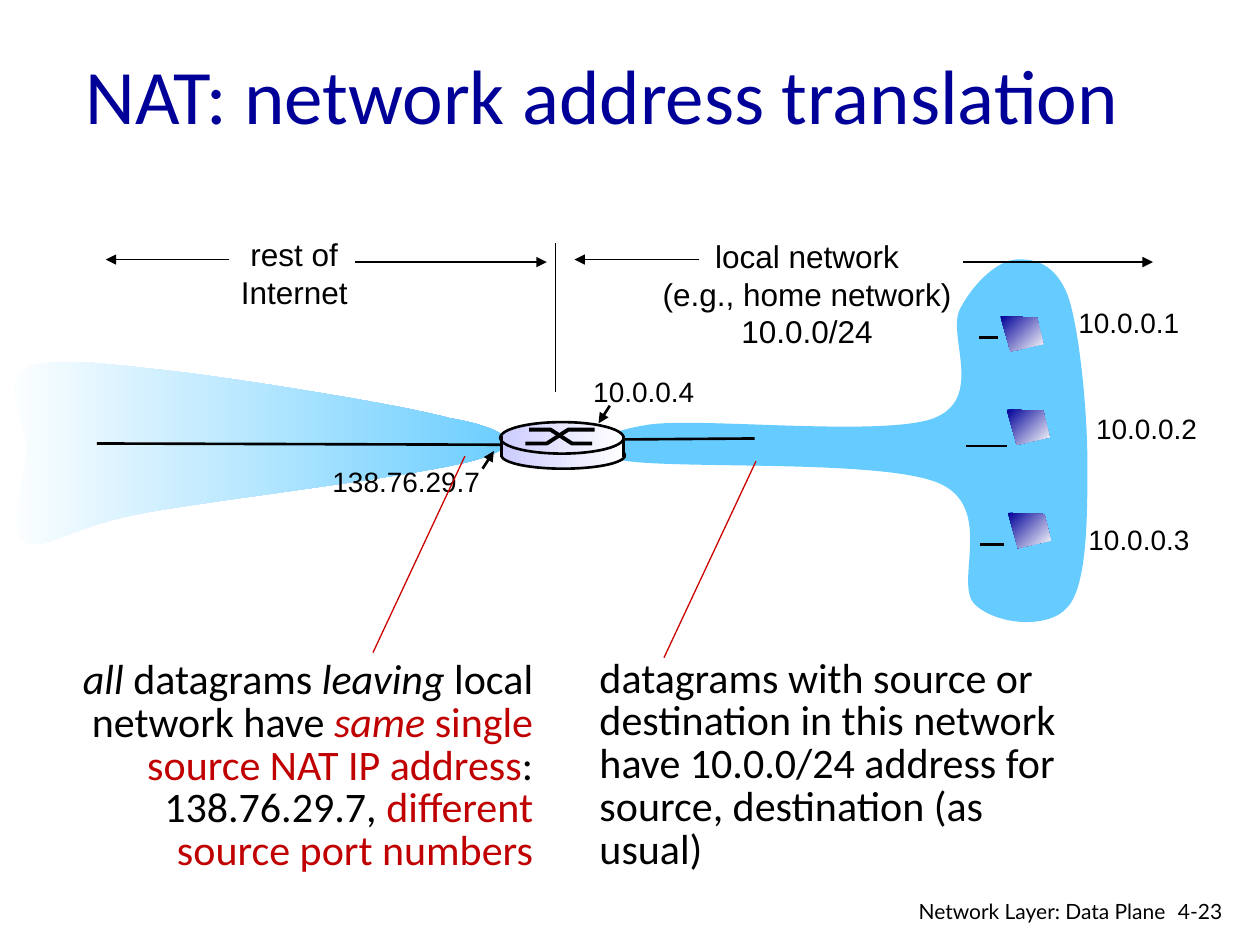
from pptx import Presentation
from pptx.dml.color import RGBColor
from pptx.enum.shapes import MSO_CONNECTOR, MSO_SHAPE
from pptx.enum.text import MSO_ANCHOR as Anchor, PP_ALIGN as Align
from pptx.oxml.ns import qn
from pptx.util import Pt
from lxml import etree

PX = 9144  # 100 px to the inch

BLACK = RGBColor(0x00, 0x00, 0x00)
WHITE = RGBColor(0xFF, 0xFF, 0xFF)
NAVY = RGBColor(0x00, 0x00, 0x99)
SKY = RGBColor(0x66, 0xCC, 0xFF)
LILAC = RGBColor(0xCC, 0xCC, 0xFF)
RED = RGBColor(0xC0, 0x00, 0x00)
POINTER_RED = RGBColor(0xCC, 0x00, 0x00)

deck = Presentation()
deck.slide_width, deck.slide_height = 1000 * PX, 750 * PX
page = deck.slides.add_slide(deck.slide_layouts[6])


def write(text, left, top, width, height, font="Arial", size=16, color=BLACK,
          align=Align.LEFT, anchor=Anchor.TOP, spacing=None, wrap=False):
    """Text is a list of paragraphs; each is a string or (text, italic, color) spans."""
    box = page.shapes.add_textbox(left * PX, top * PX, width * PX, height * PX)
    frame = box.text_frame
    frame.word_wrap = wrap
    frame.vertical_anchor = anchor
    for index, content in enumerate(text):
        para = frame.paragraphs[0] if index == 0 else frame.add_paragraph()
        para.alignment = align
        para.line_spacing = spacing
        spans = [(content, False, color)] if isinstance(content, str) else content
        for words, italic, shade in spans:
            span = para.add_run()
            span.text = words
            span.font.name, span.font.size = font, Pt(size)
            span.font.italic = italic
            span.font.color.rgb = shade


def draw_line(shapes, x1, y1, x2, y2, weight=1.5, color=BLACK, arrow=False):
    line = shapes.add_connector(MSO_CONNECTOR.STRAIGHT, x1 * PX, y1 * PX, x2 * PX, y2 * PX)
    line.line.color.rgb = color
    line.line.width = Pt(weight)
    if arrow:
        etree.SubElement(line.line._get_or_add_ln(), qn("a:tailEnd"), type="triangle")
    etree.SubElement(line._element.spPr, qn("a:effectLst"))


# Clouds: a start point, then three points per curve
local_cloud = [
    (515, 337), (556, 331), (700, 347), (741, 332), (782, 316), (751, 266), (762, 245),
    (773, 224), (792, 207), (806, 206), (821, 205), (838, 209), (848, 236),
    (857, 264), (863, 327), (863, 368), (863, 409), (863, 463), (848, 481),
    (833, 500), (791, 496), (774, 480), (756, 464), (791, 402), (744, 383),
    (697, 364), (531, 373), (492, 365), (454, 357), (476, 343), (515, 337)]
internet_cloud = [
    (357, 332), (317, 321), (197, 302), (141, 295), (85, 289), (40, 282), (20, 293),
    (0, 303), (21, 334), (21, 357), (21, 380), (4, 421), (20, 430),
    (36, 438), (55, 418), (115, 407), (175, 396), (340, 377), (381, 364),
    (421, 352), (398, 339), (357, 332)]
shaded = []  # (shape, first colour, last colour, angle)
for knots, first in ((local_cloud, SKY), (internet_cloud, WHITE)):
    builder = page.shapes.build_freeform(*knots[0], scale=PX)
    builder.add_line_segments(knots[1:], close=True)
    cloud = builder.convert_to_shape()
    segments = list(cloud._element.iter(qn("a:lnTo")))
    for i in range(0, len(segments), 3):
        curve = etree.Element(qn("a:cubicBezTo"))
        segments[i].addprevious(curve)
        for segment in segments[i:i + 3]:
            curve.append(segment[0])
            segment.getparent().remove(segment)
    cloud.shadow.inherit = False
    cloud.line.fill.background()
    if first == SKY:
        cloud.fill.solid()
        cloud.fill.fore_color.rgb = SKY
    else:
        shaded.append((cloud, first, SKY, 0))

# Title
write(["NAT: network address translation"], 58, 25, 885, 99, font="Calibri", size=44,
      color=NAVY, anchor=Anchor.MIDDLE, wrap=True)

# Links
for ends in ((467, 349, 599, 348), (799, 354, 767, 354), (777, 268, 792, 268),
             (778, 432, 797, 432), (77, 352, 408, 353)):
    draw_line(page.shapes, *ends)

# Addresses and the arrows to the router's interfaces
for address, left, top, width in (
        ("10.0.0.1", 846, 238, 101), ("10.0.0.2", 860, 322, 101), ("10.0.0.3", 854, 410, 101),
        ("10.0.0.4", 461, 292, 101), ("138.76.29.7", 254, 364, 138)):
    write([address], left, top, width, 37)
for ends in ((484, 322, 475, 336), (383, 372, 392, 358)):
    draw_line(page.shapes, *ends, arrow=True)

# Extent of the two networks
write(["local network", "(e.g., home network)", "10.0.0/24"], 516, 183, 249, 100,
      size=18, align=Align.CENTER)
write(["rest of", "Internet"], 181, 182, 105, 70, size=18, align=Align.CENTER)
draw_line(page.shapes, 441, 193, 441, 311, weight=0.75)
for ends in ((764, 208, 915, 208), (555, 206, 456, 206),
             (282, 208, 434, 208), (182, 206, 84, 206)):
    draw_line(page.shapes, *ends, weight=0.75, arrow=True)

# Explanations and their pointers
write(["datagrams with source or", "destination in this network",
       "have 10.0.0/24 address for", "source, destination (as usual)"],
      466, 518, 410, 146, font="Calibri", size=24, spacing=0.85, wrap=True)
write([[("all", True, BLACK), (" datagrams ", False, BLACK),
        ("leaving", True, BLACK), (" local", False, BLACK)],
       [("network have ", False, BLACK), ("same", True, RED),
        (" single source NAT IP address", False, RED), (": 138.76.29.7, ", False, BLACK),
        ("different source port numbers", False, RED)]],
      30, 519, 403, 180, font="Calibri", size=24, align=Align.RIGHT, spacing=0.85, wrap=True)
for left, top in ((527, 522), (296, 518)):
    draw_line(page.shapes, left, top, left + 73, top - 156, weight=0.75, color=POINTER_RED)

# Router
router = page.shapes.add_group_shape().shapes
for kind, left, top, height in ((MSO_SHAPE.OVAL, 398, 351, 21),
                                (MSO_SHAPE.RECTANGLE, 398, 349, 13),
                                (MSO_SHAPE.OVAL, 397, 335, 25)):
    part = router.add_shape(kind, left * PX, top * PX, 98 * PX, height * PX)
    part.shadow.inherit = False
    if kind == MSO_SHAPE.OVAL:
        part.line.color.rgb = BLACK
        part.line.width = Pt(1.5)
    else:
        part.line.fill.background()
    shaded.append((part, LILAC, WHITE, 0))
for start, *rest in (((417, 352), (434, 352), (451, 341), (472, 341)),
                     ((420, 341), (437, 341), (454, 352), (470, 352))):
    builder = router.build_freeform(*start, scale=PX)
    builder.add_line_segments(rest, close=False)
    strand = builder.convert_to_shape()
    strand.shadow.inherit = False
    strand.fill.background()
    strand.line.color.rgb = BLACK
    strand.line.width = Pt(2.25)
for x in (398, 495):
    draw_line(router, x, 346, x, 363)

# Host screens
for left, top in ((794, 251), (799, 325), (800, 407)):
    builder = page.shapes.build_freeform(left, top, scale=PX)
    builder.add_line_segments([(left + 29, top + 1), (left + 34, top + 22),
                               (left + 8, top + 28)], close=True)
    screen = builder.convert_to_shape()
    screen.shadow.inherit = False
    screen.line.fill.background()
    shaded.append((screen, NAVY, WHITE, 315))

# Gradients
for shape, first, last, angle in shaded:
    shape.fill.gradient()
    shape.fill.gradient_angle = angle
    for stop, color, position in zip(shape.fill.gradient_stops, (first, last), (0, 1)):
        stop.color.rgb = color
        stop.position = position

# Footer
write(["4-23"], 925, 708, 61, 30, font="Lato", size=12, wrap=True)
write(["Network Layer: Data Plane"], 697, 708, 238, 26, font="Lato", size=12,
      align=Align.RIGHT, wrap=True)

deck.save("out.pptx")
